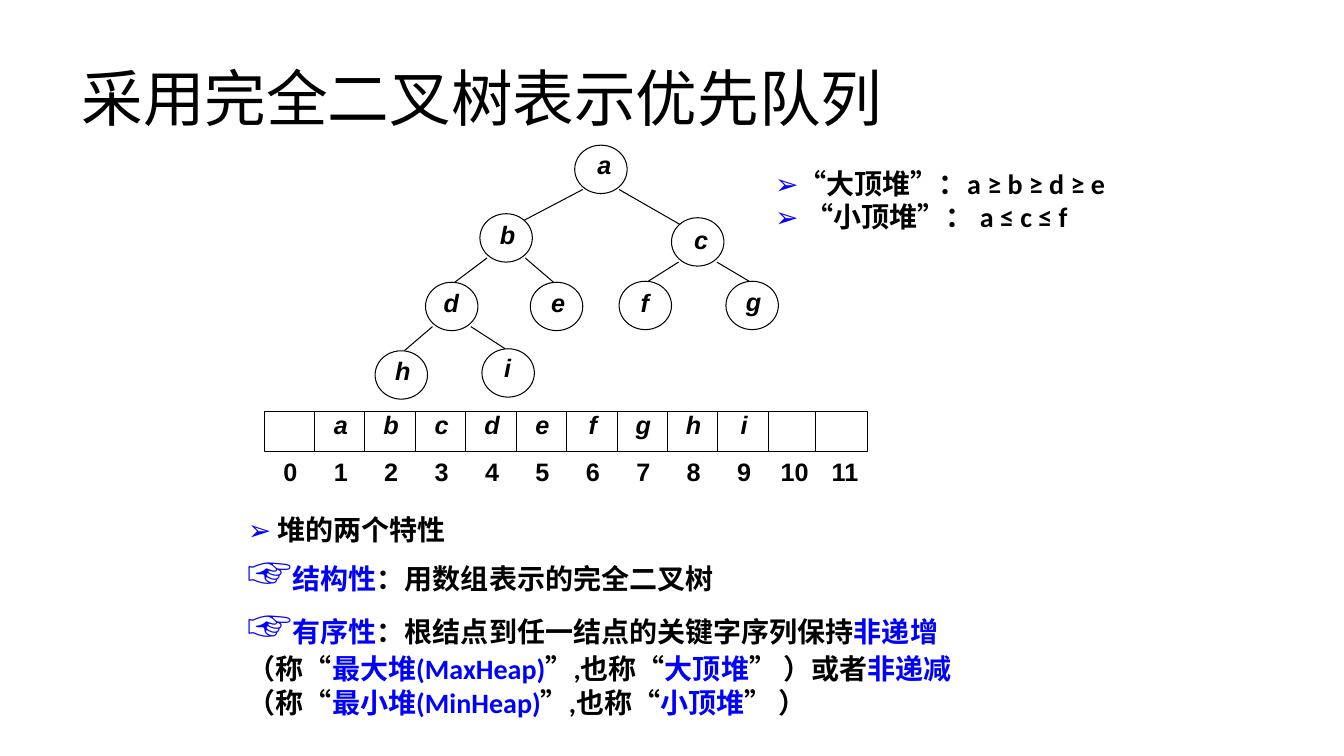
"""Builds a slide on priority queues as complete binary trees."""
from lxml import etree
from pptx import Presentation
from pptx import util as u
from pptx.dml.color import RGBColor
from pptx.enum import lang, shapes, text
from pptx.oxml.ns import qn

BLACK = RGBColor(0, 0, 0)
BLUE = RGBColor(0, 0, 255)
WHITE = RGBColor(255, 255, 255)

prs = Presentation()
prs.slide_width, prs.slide_height = u.Inches(13.33), u.Inches(7.5)
s = prs.slides.add_slide(prs.slide_layouts[6])


def add_run(p, words, size, color=BLACK, font="Calibri", bold=True, italic=False):
    r = p.add_run()
    r.text = words
    f = r.font
    f.size, f.name, f.bold, f.italic = u.Pt(size), font, bold, italic
    f.color.rgb = color
    f.language_id = lang.MSO_LANGUAGE_ID.SIMPLIFIED_CHINESE


def add_piece(kind, x, y, w, h, outlined=True):
    if kind == "line":
        sp = s.shapes.add_connector(shapes.MSO_CONNECTOR.STRAIGHT, *map(u.Inches, (x, y, w, h)))
        etree.SubElement(sp._element.spPr, qn("a:effectLst"))
    else:
        sp = s.shapes.add_shape(kind, *map(u.Inches, (x, y, w, h)))
        sp.shadow.inherit = False
        sp.fill.solid()
        sp.fill.fore_color.rgb = WHITE
        tf = sp.text_frame
        tf.margin_left = tf.margin_right = tf.margin_top = tf.margin_bottom = 0
    if outlined:
        sp.line.color.rgb = BLACK
        sp.line.width = u.Pt(0.75)
    else:
        sp.line.fill.background()
    return sp


title = s.shapes.add_textbox(u.Inches(0.71), u.Inches(0.28), u.Inches(11.5), u.Inches(1.45))
tf = title.text_frame
tf.word_wrap = True
tf.vertical_anchor = text.MSO_ANCHOR.MIDDLE
tf.paragraphs[0].line_spacing = 0.9
add_run(tf.paragraphs[0], "采用完全二叉树表示优先队列", 44, font="Arial", bold=False)

nodes = {
    "a": (5.96, 1.68), "b": (5.02, 2.36), "c": (6.92, 2.4),
    "d": (4.48, 3.04), "e": (5.52, 3.04), "f": (6.4, 3.03),
    "g": (7.46, 3.03), "h": (3.98, 3.72), "i": (5.04, 3.7),
}
label_corners = {
    "a": (5.87, 1.58), "b": (4.91, 2.27), "c": (6.83, 2.32),
    "d": (4.35, 2.95), "e": (5.41, 2.95), "f": (6.27, 2.95),
    "g": (7.35, 2.94), "h": (3.87, 3.62), "i": (4.91, 3.59),
}
letters = list(nodes)
for i, child in enumerate(letters[1:], 1):
    parent = letters[(i - 1) // 2]
    (x1, y1), (x2, y2) = nodes[parent], nodes[child]
    side = -1 if i % 2 else 1
    start, dx, dy = (0.18, 0.17, 0.17) if parent == "a" else (0.19, 0.03, 0.24)
    add_piece("line", x1 + side * start, y1 + 0.2, x2 - side * dx, y2 - dy)

for x, y in nodes.values():
    add_piece(shapes.MSO_SHAPE.OVAL, x - 0.26, y - 0.24, 0.52, 0.48)

for letter, (x, y) in label_corners.items():
    label = add_piece(shapes.MSO_SHAPE.RECTANGLE, x, y, 0.25, 0.2, outlined=False)
    label.text_frame.vertical_anchor = text.MSO_ANCHOR.TOP
    p = label.text_frame.paragraphs[0]
    p.alignment = text.PP_ALIGN.CENTER
    p.line_spacing = 0.64
    add_run(p, letter, 18, font="Arial", italic=True)

strips = [
    ((2.62, 4.08, 5.98, 0.4), True, letters, 3.38),
    ((2.59, 4.55, 6.25, 0.33), False, [str(i) for i in range(12)], 2.88),
]
for box, is_array, entries, first in strips:
    strip = add_piece(shapes.MSO_SHAPE.RECTANGLE, *box, outlined=is_array)
    tf = strip.text_frame
    tf.vertical_anchor = text.MSO_ANCHOR.TOP
    p = tf.paragraphs[0]
    p.alignment = text.PP_ALIGN.LEFT
    p.line_spacing = 0.96
    tabs = etree.SubElement(p._p.get_or_add_pPr(), qn("a:tabLst"))
    for i in range(len(entries)):
        stop = u.Inches(first - box[0] + 0.5 * i)
        etree.SubElement(tabs, qn("a:tab"), pos=str(int(stop)), algn="ctr")
    add_run(p, "\t" + "\t".join(entries), 18, font="Arial", italic=is_array)

for x in [3.12 + 0.5 * i for i in range(10)] + [8.09]:
    add_piece("line", x, 4.48, x, 4.08)

notes = [
    ((2.36, 5.04, 2.19, 0.44), [[("➢ ", 20, BLUE), ("堆的两个特性", 20, BLACK)]]),
    ((2.36, 5.35, 7.5, 1.85), [
        [("☞", 32, BLUE), ("结构性", 20, BLUE), ("：用数组表示的完全二叉树", 20, BLACK)],
        [("☞", 32, BLUE), ("有序性", 20, BLUE),
         ("：根结点到任一结点的关键字序列保持", 20, BLACK), ("非递增", 20, BLUE),
         ("（称“", 20, BLACK), ("最大堆(MaxHeap)", 20, BLUE),
         ("”,也称“", 20, BLACK), ("大顶堆", 20, BLUE),
         ("” ）或者", 20, BLACK), ("非递减", 20, BLUE),
         ("（称“", 20, BLACK), ("最小堆(MinHeap)", 20, BLUE),
         ("”,也称“", 20, BLACK), ("小顶堆", 20, BLUE), ("” ）", 20, BLACK)],
    ]),
    ((7.59, 1.6, 3.75, 0.77), [
        [("➢", 20, BLUE), ("“大顶堆”：a ≥ b ≥ d ≥ e", 20, BLACK)],
        [("➢", 20, BLUE), (" “小顶堆”： a ≤ c ≤ f", 20, BLACK)],
    ]),
]
for box, paragraphs in notes:
    tf = s.shapes.add_textbox(*map(u.Inches, box)).text_frame
    tf.word_wrap = True
    for i, runs in enumerate(paragraphs):
        p = tf.add_paragraph() if i else tf.paragraphs[0]
        for words, size, color in runs:
            add_run(p, words, size, color)

prs.save("out.pptx")
